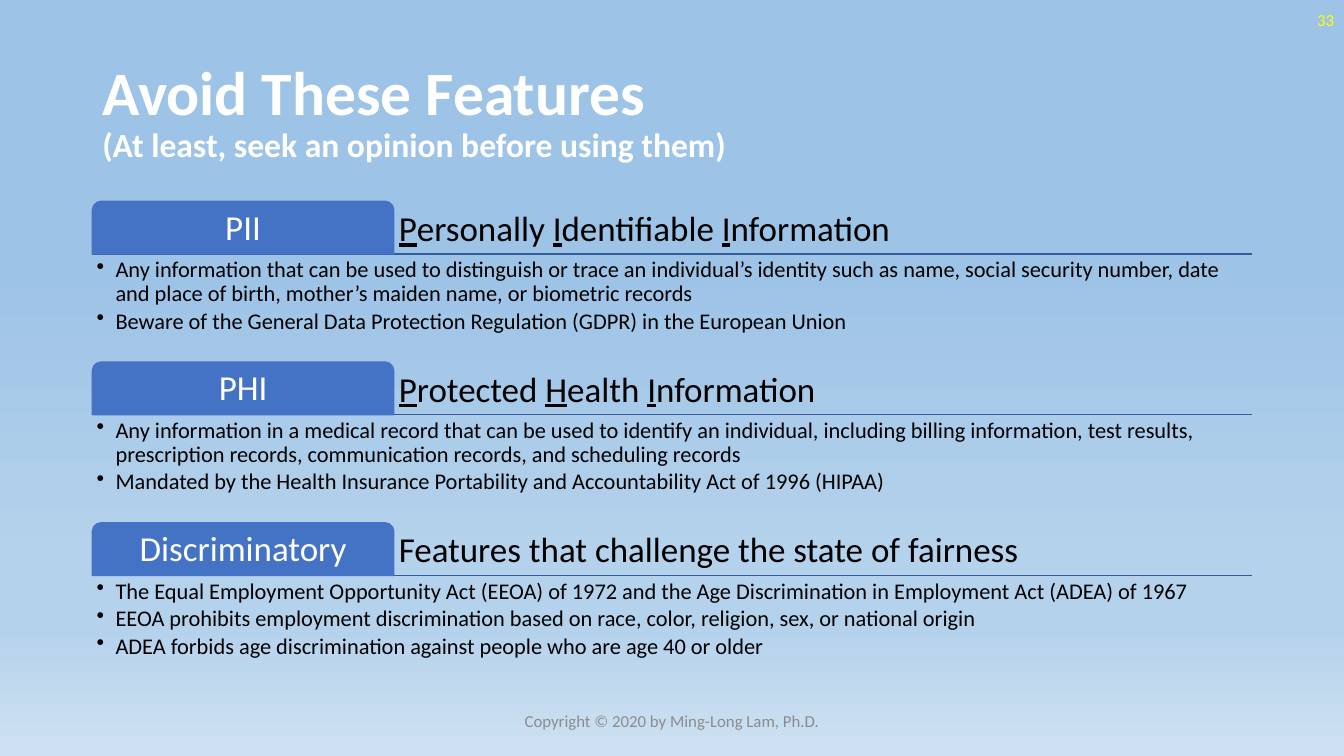
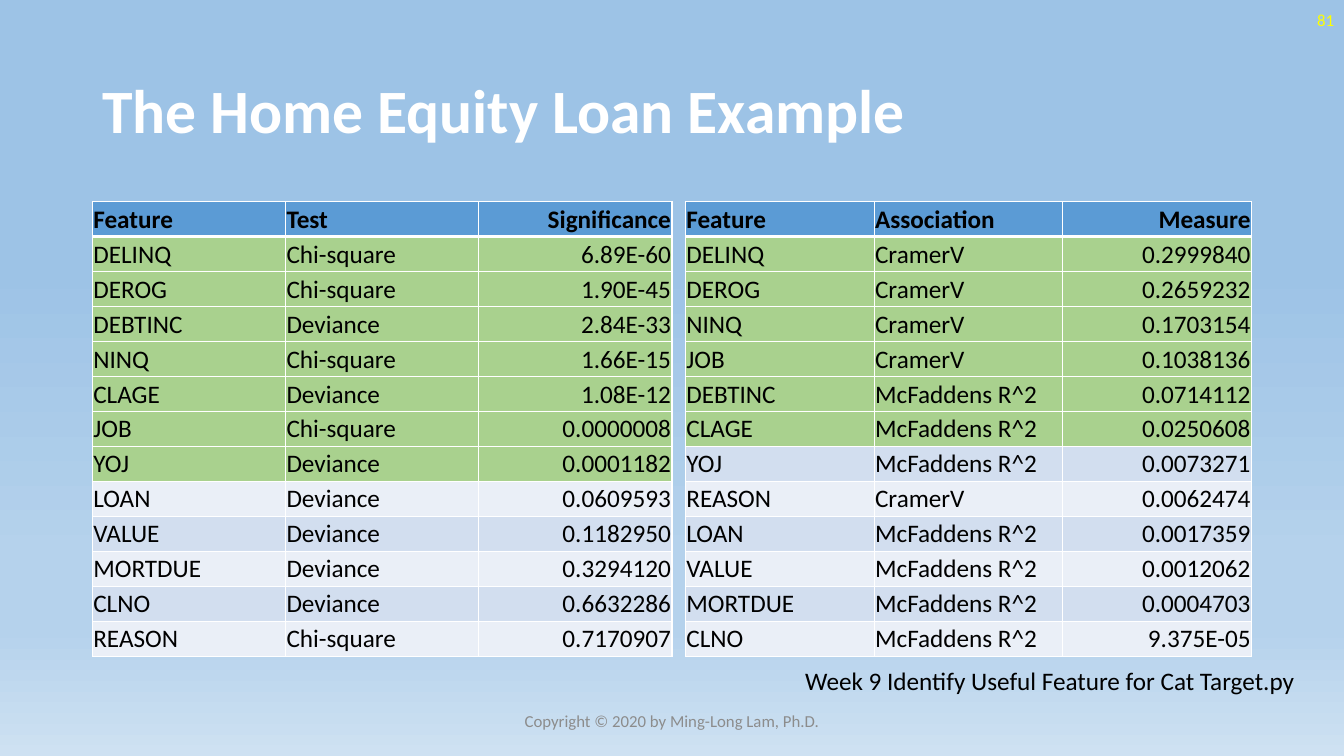
import dataclasses
import typing

import lxml.etree
import pptx
import pptx.dml.color
import pptx.enum.dml
import pptx.enum.shapes
import pptx.enum.text
import pptx.oxml.ns
import pptx.slide
import pptx.table
import pptx.text.text
import pptx.util

Pt = pptx.util.Pt
qn = pptx.oxml.ns.qn
Align = pptx.enum.text.PP_ALIGN
Anchor = pptx.enum.text.MSO_ANCHOR


@dataclasses.dataclass(frozen=True)
class Theme:
    font: str = "Calibri"
    white: str = "FFFFFF"
    black: str = "000000"
    page_number: str = "FFFF00"
    footer: str = "8C8C8C"
    tab: str = "4472C4"
    rule: str = "365B9D"
    table_head: str = "5B9BD5"
    selected: str = "A9D18E"
    bands: tuple[str, str] = ("D2DEEF", "EAEFF7")
    sky: tuple[tuple[int, str], ...] = (
        (35, "9DC3E6"), (74, "B5D2EC"), (83, "B5D2EC"), (100, "CEE1F2"))
    title_size: float = 44
    subtitle_size: float = 24
    heading_size: float = 25
    table_size: float = 18
    bullet_size: float = 16
    small_size: float = 12


THEME = Theme()
PAGE_WIDTH, PAGE_HEIGHT = 960, 540
LEFT, RIGHT, TOP = 66, 894, 144
LINE_SPACING = 0.9


class Frame(typing.NamedTuple):
    left: float
    top: float
    width: float
    height: float

    def lengths(self) -> list[pptx.util.Length]:
        return [Pt(value) for value in self]


class Section(typing.NamedTuple):
    tab: str
    heading: str
    initials_underlined: bool
    bullets: tuple[str, ...]


class Ranking(typing.NamedTuple):
    left: float
    column_width: float
    selected_count: int
    header: tuple[str, str, str]
    rows: tuple[tuple[str, str, str], ...]


SECTIONS = (
    Section("PII", "Personally Identifiable Information", True, (
        "Any information that can be used to distinguish or trace an individual’s identity such as "
        "name, social security number, date and place of birth, mother’s maiden name, or biometric records",
        "Beware of the General Data Protection Regulation (GDPR) in the European Union")),
    Section("PHI", "Protected Health Information", True, (
        "Any information in a medical record that can be used to identify an individual, including "
        "billing information, test results, prescription records, communication records, and scheduling records",
        "Mandated by the Health Insurance Portability and Accountability Act of 1996 (HIPAA)")),
    Section("Discriminatory", "Features that challenge the state of fairness", False, (
        "The Equal Employment Opportunity Act (EEOA) of 1972 and the Age Discrimination in "
        "Employment Act (ADEA) of 1967",
        "EEOA prohibits employment discrimination based on race, color, religion, sex, or national origin",
        "ADEA forbids age discrimination against people who are age 40 or older")),
)

CHI, DEV, CRAMER, MCFADDEN = "Chi-square", "Deviance", "CramerV", "McFaddens R^2"
RANKINGS = (
    Ranking(LEFT, 138, 7, ("Feature", "Test", "Significance"), (
        ("DELINQ", CHI, "6.89E-60"),
        ("DEROG", CHI, "1.90E-45"),
        ("DEBTINC", DEV, "2.84E-33"),
        ("NINQ", CHI, "1.66E-15"),
        ("CLAGE", DEV, "1.08E-12"),
        ("JOB", CHI, "0.0000008"),
        ("YOJ", DEV, "0.0001182"),
        ("LOAN", DEV, "0.0609593"),
        ("VALUE", DEV, "0.1182950"),
        ("MORTDUE", DEV, "0.3294120"),
        ("CLNO", DEV, "0.6632286"),
        ("REASON", CHI, "0.7170907"))),
    Ranking(489.6, 134.8, 6, ("Feature", "Association", "Measure"), (
        ("DELINQ", CRAMER, "0.2999840"),
        ("DEROG", CRAMER, "0.2659232"),
        ("NINQ", CRAMER, "0.1703154"),
        ("JOB", CRAMER, "0.1038136"),
        ("DEBTINC", MCFADDEN, "0.0714112"),
        ("CLAGE", MCFADDEN, "0.0250608"),
        ("YOJ", MCFADDEN, "0.0073271"),
        ("REASON", CRAMER, "0.0062474"),
        ("LOAN", MCFADDEN, "0.0017359"),
        ("VALUE", MCFADDEN, "0.0012062"),
        ("MORTDUE", MCFADDEN, "0.0004703"),
        ("CLNO", MCFADDEN, "9.375E-05"))),
)


def rgb(value: str) -> pptx.dml.color.RGBColor:
    return pptx.dml.color.RGBColor.from_string(value)


def add_span(para: pptx.text.text._Paragraph, text: str, size: float, color: str = THEME.black,
             bold: bool = False, underline: bool = False) -> None:
    span = para.add_run()
    span.text = text
    span.font.name = THEME.font
    span.font.size = Pt(size)
    span.font.color.rgb = rgb(color)
    span.font.bold = bold
    span.font.underline = underline


def set_frame(frame: pptx.text.text.TextFrame, anchor: Anchor,
              inset: float | None = None) -> pptx.text.text._Paragraph:
    """Prepare a text frame and give back its first paragraph."""
    frame.word_wrap = True
    frame.vertical_anchor = anchor
    if inset is not None:
        frame.margin_left = frame.margin_right = Pt(inset)
        frame.margin_top = frame.margin_bottom = Pt(inset)
    return frame.paragraphs[0]


def add_label(page: pptx.slide.Slide, frame: Frame, text: str, color: str, align: Align) -> None:
    box = page.shapes.add_textbox(*frame.lengths())
    para = set_frame(box.text_frame, Anchor.MIDDLE)
    para.alignment = align
    add_span(para, text, THEME.small_size, color)


def set_background(deck: pptx.presentation.Presentation) -> None:
    """Give every page the sky gradient through the slide master."""
    fill = deck.slide_master.background.fill
    fill.gradient()
    fill.gradient_angle = 270
    stops = deck.slide_master.element.xpath(".//p:bg//a:gsLst")[0]
    for stop in list(stops):
        stops.remove(stop)
    for position, color in THEME.sky:
        stop = lxml.etree.SubElement(stops, qn("a:gs"), pos=str(position * 1000))
        lxml.etree.SubElement(stop, qn("a:srgbClr"), val=color)


def add_page(deck: pptx.presentation.Presentation, number: int, title: str,
             subtitle: str = "") -> pptx.slide.Slide:
    page = deck.slides.add_slide(deck.slide_layouts[6])
    box = page.shapes.add_textbox(*Frame(LEFT, 28.75, RIGHT - LEFT, 104.4).lengths())
    para = set_frame(box.text_frame, Anchor.MIDDLE)
    para.line_spacing = LINE_SPACING
    add_span(para, title, THEME.title_size, THEME.white, bold=True)
    if subtitle:
        para.add_line_break()
        add_span(para, subtitle, THEME.subtitle_size, THEME.white, bold=True)
    add_label(page, Frame(744, 0, 216, 28.75), str(number), THEME.page_number, Align.RIGHT)
    add_label(page, Frame(318, 500.5, 324, 28.75), "Copyright © 2020 by Ming-Long Lam, Ph.D.",
              THEME.footer, Align.CENTER)
    return page


def add_rule(page: pptx.slide.Slide, top: float) -> None:
    rule = page.shapes.add_connector(pptx.enum.shapes.MSO_CONNECTOR.STRAIGHT,
                                     Pt(LEFT), Pt(top), Pt(RIGHT), Pt(top))
    rule.line.color.rgb = rgb(THEME.rule)
    rule.line.width = Pt(1)
    lxml.etree.SubElement(rule._element.spPr, qn("a:effectLst"))


def add_tab(page: pptx.slide.Slide, frame: Frame, text: str) -> None:
    tab = page.shapes.add_shape(pptx.enum.shapes.MSO_SHAPE.ROUND_2_SAME_RECTANGLE, *frame.lengths())
    tab.shadow.inherit = False
    tab.fill.solid()
    tab.fill.fore_color.rgb = rgb(THEME.tab)
    tab.line.color.rgb = rgb(THEME.tab)
    tab.line.width = Pt(1)
    para = set_frame(tab.text_frame, Anchor.MIDDLE, 3.6)
    para.alignment = Align.CENTER
    para.line_spacing = LINE_SPACING
    add_span(para, text, THEME.heading_size, THEME.white)


def add_heading(page: pptx.slide.Slide, frame: Frame, section: Section) -> None:
    box = page.shapes.add_textbox(*frame.lengths())
    para = set_frame(box.text_frame, Anchor.BOTTOM, 3.6)
    para.line_spacing = LINE_SPACING
    if not section.initials_underlined:
        add_span(para, section.heading, THEME.heading_size)
        return
    words = section.heading.split()
    for word in words:
        add_span(para, word[0], THEME.heading_size, underline=True)
        gap = "" if word is words[-1] else " "
        add_span(para, word[1:] + gap, THEME.heading_size)


def add_bullets(page: pptx.slide.Slide, frame: Frame, bullets: tuple[str, ...]) -> None:
    box = page.shapes.add_textbox(*frame.lengths())
    para = set_frame(box.text_frame, Anchor.TOP, 3.1)
    indent = Pt(13.5)
    for index, text in enumerate(bullets):
        if index:
            para = box.text_frame.add_paragraph()
        para.line_spacing = LINE_SPACING
        para.space_after = Pt(2.4)
        properties = para._p.get_or_add_pPr()
        properties.set("marL", str(indent))
        properties.set("indent", str(-indent))
        lxml.etree.SubElement(properties, qn("a:buChar"), char="•")
        add_span(para, text, THEME.bullet_size)


def add_section(page: pptx.slide.Slide, top: float, section: Section) -> None:
    tab_width, tab_height = 215.3, 37.6
    bottom = top + tab_height
    heading_left = LEFT + tab_width
    add_rule(page, bottom)
    add_tab(page, Frame(LEFT, top, tab_width, tab_height), section.tab)
    add_heading(page, Frame(heading_left, top, RIGHT - heading_left, tab_height), section)
    add_bullets(page, Frame(LEFT, bottom, RIGHT - LEFT, 75.3), section.bullets)


def set_borders(cell: pptx.table._Cell, top: float, bottom: float) -> None:
    properties = cell._tc.get_or_add_tcPr()
    for side, width in (("L", 1), ("R", 1), ("T", top), ("B", bottom)):
        border = lxml.etree.SubElement(properties, qn(f"a:ln{side}"), w=str(Pt(width)))
        fill = lxml.etree.SubElement(border, qn("a:solidFill"))
        lxml.etree.SubElement(fill, qn("a:srgbClr"), val=THEME.white)


def add_ranking(page: pptx.slide.Slide, ranking: Ranking) -> None:
    rows = (ranking.header, *ranking.rows)
    columns, row_height = len(ranking.header), 25
    frame = Frame(ranking.left, TOP, columns * ranking.column_width, len(rows) * row_height)
    table = page.shapes.add_table(len(rows), columns, *frame.lengths()).table
    table.horz_banding = False
    for column in table.columns:
        column.width = Pt(ranking.column_width)
    for index, values in enumerate(rows):
        table.rows[index].height = Pt(row_height)
        if index == 0:
            color = THEME.table_head
        elif index <= ranking.selected_count:
            color = THEME.selected
        else:
            color = THEME.bands[(index - 1) % 2]
        for position, text in enumerate(values):
            cell = table.cell(index, position)
            set_borders(cell, top=3 if index == 1 else 1, bottom=3 if index == 0 else 1)
            cell.fill.solid()
            cell.fill.fore_color.rgb = rgb(color)
            cell.vertical_anchor = Anchor.MIDDLE
            cell.margin_left = cell.margin_right = cell.margin_top = Pt(0.7)
            cell.margin_bottom = Pt(0)
            para = cell.text_frame.paragraphs[0]
            para.alignment = Align.RIGHT if position == columns - 1 else Align.LEFT
            add_span(para, text, THEME.table_size, bold=index == 0)


def add_program_name(page: pptx.slide.Slide, text: str) -> None:
    box = page.shapes.add_textbox(*Frame(568, 471.8, 368, 29).lengths())
    para = set_frame(box.text_frame, Anchor.TOP)
    box.text_frame.word_wrap = False
    box.text_frame.auto_size = pptx.enum.text.MSO_AUTO_SIZE.SHAPE_TO_FIT_TEXT
    add_span(para, text, THEME.table_size)


def main() -> None:
    deck = pptx.Presentation()
    deck.slide_width, deck.slide_height = Pt(PAGE_WIDTH), Pt(PAGE_HEIGHT)
    set_background(deck)

    page = add_page(deck, 33, "Avoid These Features", "(At least, seek an opinion before using them)")
    for index, section in enumerate(SECTIONS):
        add_section(page, TOP - 0.2 + index * 114.8, section)

    page = add_page(deck, 81, "The Home Equity Loan Example")
    for ranking in RANKINGS:
        add_ranking(page, ranking)
    add_program_name(page, "Week 9 Identify Useful Feature for Cat Target.py")

    deck.save("out.pptx")


if __name__ == "__main__":
    main()
